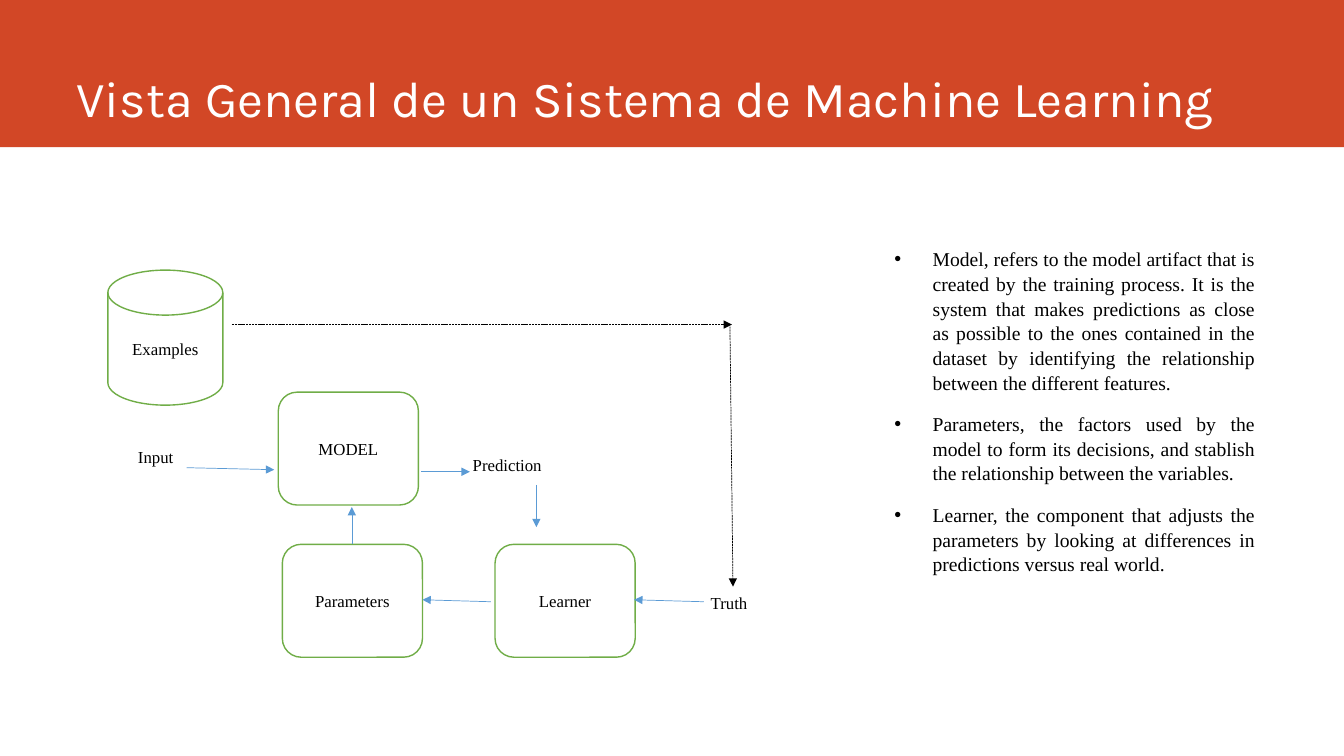
from lxml import etree
from pptx import Presentation
from pptx.dml.color import RGBColor
from pptx.enum.dml import MSO_LINE
from pptx.enum.shapes import MSO_CONNECTOR, MSO_SHAPE
from pptx.enum.text import MSO_ANCHOR, MSO_AUTO_SIZE, PP_ALIGN
from pptx.oxml.ns import qn
from pptx.util import Inches, Pt

RECT = MSO_SHAPE.RECTANGLE
ROUND = MSO_SHAPE.ROUNDED_RECTANGLE
DISK = MSO_SHAPE.FLOWCHART_MAGNETIC_DISK
STRAIGHT = MSO_CONNECTOR.STRAIGHT
DASH = MSO_LINE.SQUARE_DOT
LEFT, CENTER, JUSTIFY = PP_ALIGN.LEFT, PP_ALIGN.CENTER, PP_ALIGN.JUSTIFY
TOP, MIDDLE, BOTTOM = MSO_ANCHOR.TOP, MSO_ANCHOR.MIDDLE, MSO_ANCHOR.BOTTOM
FIXED = MSO_AUTO_SIZE.NONE

COLORS = {
    "band": "D24726",
    "white": "FFFFFF",
    "black": "000000",
    "green": "70AD47",
    "blue": "5B9BD5",
}
SERIF = "Times New Roman"
BOX_W, BOX_H = 1.39, 1.12
LOW_ROW = 5.4

NOTES = [
    "Model, refers to the model artifact that is created by the training process. "
    "It is the system that makes predictions as close as possible to the ones "
    "contained in the dataset by identifying the relationship between the "
    "different features.",
    "Parameters, the factors used by the model to form its decisions, and stablish "
    "the relationship between the variables.",
    "Learner, the component that adjusts the parameters by looking at differences "
    "in predictions versus real world.",
]


def color(name):
    return RGBColor.from_string(COLORS[name])


def place(shape, left, top, width, height):
    shape.left, shape.top = Inches(left), Inches(top)
    shape.width, shape.height = Inches(width), Inches(height)


def write(par, text, size=12, face=SERIF, ink="black", align=LEFT):
    par.alignment = align
    run = par.add_run()
    run.text = text
    run.font.size = Pt(size)
    run.font.name = face
    run.font.color.rgb = color(ink)


def add_band(slide):
    band = slide.shapes.add_shape(RECT, 0, 0, Inches(13.33), Inches(1.46))
    band.shadow.inherit = False
    band.fill.solid()
    band.fill.fore_color.rgb = color("band")
    band.line.fill.background()
    # Send the band behind the title
    slide.shapes._spTree.insert(2, band._element)


def set_title(slide, text):
    title = slide.shapes.title
    place(title, 0.66, 0, 11.76, 1.32)
    frame = title.text_frame
    frame.auto_size = FIXED
    frame.vertical_anchor = BOTTOM
    write(frame.paragraphs[0], text, 36, "Karla", "white")


def set_notes(slide, notes):
    body = slide.placeholders[1]
    place(body, 8.77, 2.39, 3.78, 3.26)
    frame = body.text_frame
    frame.auto_size = FIXED
    frame.vertical_anchor = TOP
    for i, note in enumerate(notes):
        par = frame.add_paragraph() if i else frame.paragraphs[0]
        props = par._p.get_or_add_pPr()
        props.set("marL", str(Inches(0.38)))
        props.set("indent", str(-Inches(0.38)))
        etree.SubElement(props, qn("a:buChar")).set("char", "•")
        par.space_before = Pt(12 if i else 0)
        par.line_spacing = 1.05
        write(par, note, 14, align=JUSTIFY)


def add_node(slide, kind, text, left, top, width=BOX_W, height=BOX_H):
    node = slide.shapes.add_shape(
        kind, Inches(left), Inches(top), Inches(width), Inches(height))
    node.shadow.inherit = False
    node.fill.solid()
    node.fill.fore_color.rgb = color("white")
    node.line.color.rgb = color("green")
    node.line.width = Pt(1)
    frame = node.text_frame
    frame.vertical_anchor = MIDDLE
    write(frame.paragraphs[0], text, align=CENTER)


def add_label(slide, text, left, top, width, height):
    box = slide.shapes.add_textbox(
        Inches(left), Inches(top), Inches(width), Inches(height))
    frame = box.text_frame
    frame.word_wrap = False
    write(frame.paragraphs[0], text)


def add_arrow(slide, start, end, ink="blue", dash=None):
    points = [Inches(n) for n in (*start, *end)]
    arrow = slide.shapes.add_connector(STRAIGHT, *points)
    arrow.line.color.rgb = color(ink)
    arrow.line.width = Pt(0.5)
    if dash:
        arrow.line.dash_style = dash
    props = arrow._element.spPr
    tail = etree.SubElement(props.find(qn("a:ln")), qn("a:tailEnd"))
    tail.set("type", "triangle")
    etree.SubElement(props, qn("a:effectLst"))


def main():
    deck = Presentation()
    deck.slide_width, deck.slide_height = Inches(13.33), Inches(7.5)
    slide = deck.slides.add_slide(deck.slide_layouts[1])

    # Heading and notes
    add_band(slide)
    set_title(slide, "Vista General de un Sistema de Machine Learning")
    set_notes(slide, NOTES)

    # Labels of the flow
    add_label(slide, "Input", 1.27, 4.38, 0.65, 0.5)
    add_label(slide, "Prediction", 4.59, 4.46, 1.04, 0.5)
    add_label(slide, "Truth", 6.95, 5.83, 0.58, 0.31)

    # Nodes of the flow
    add_node(slide, DISK, "Examples", 1.07, 2.68, 1.14, 1.34)
    add_node(slide, ROUND, "MODEL", 2.76, 3.89)
    add_node(slide, ROUND, "Parameters", 2.8, LOW_ROW)
    add_node(slide, ROUND, "Learner", 4.91, LOW_ROW)

    # Dashed path from examples to truth
    add_arrow(slide, (2.3, 3.22), (7.26, 3.22), "black", DASH)
    add_arrow(slide, (7.24, 3.24), (7.27, 5.82), "black", DASH)

    # Training loop
    for start, end in [
        ((6.98, 5.97), (6.29, 5.95)),
        ((4.87, 5.97), (4.19, 5.95)),
        ((1.85, 4.64), (2.72, 4.66)),
        ((4.18, 4.68), (4.66, 4.68)),
        ((5.32, 4.81), (5.32, 5.23)),
        ((3.49, LOW_ROW), (3.49, 5.03)),
    ]:
        add_arrow(slide, start, end)

    deck.save("out.pptx")


if __name__ == "__main__":
    main()
